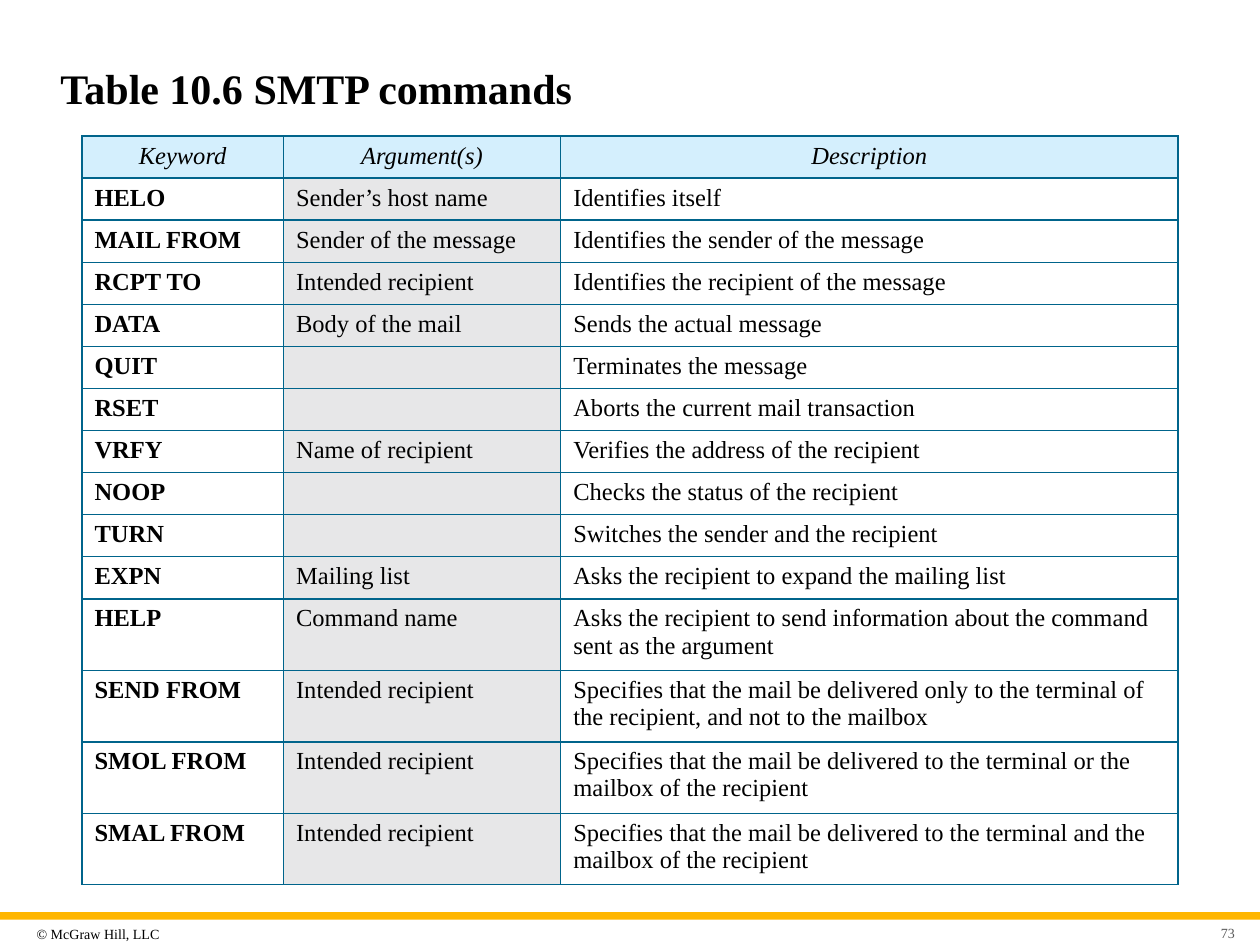
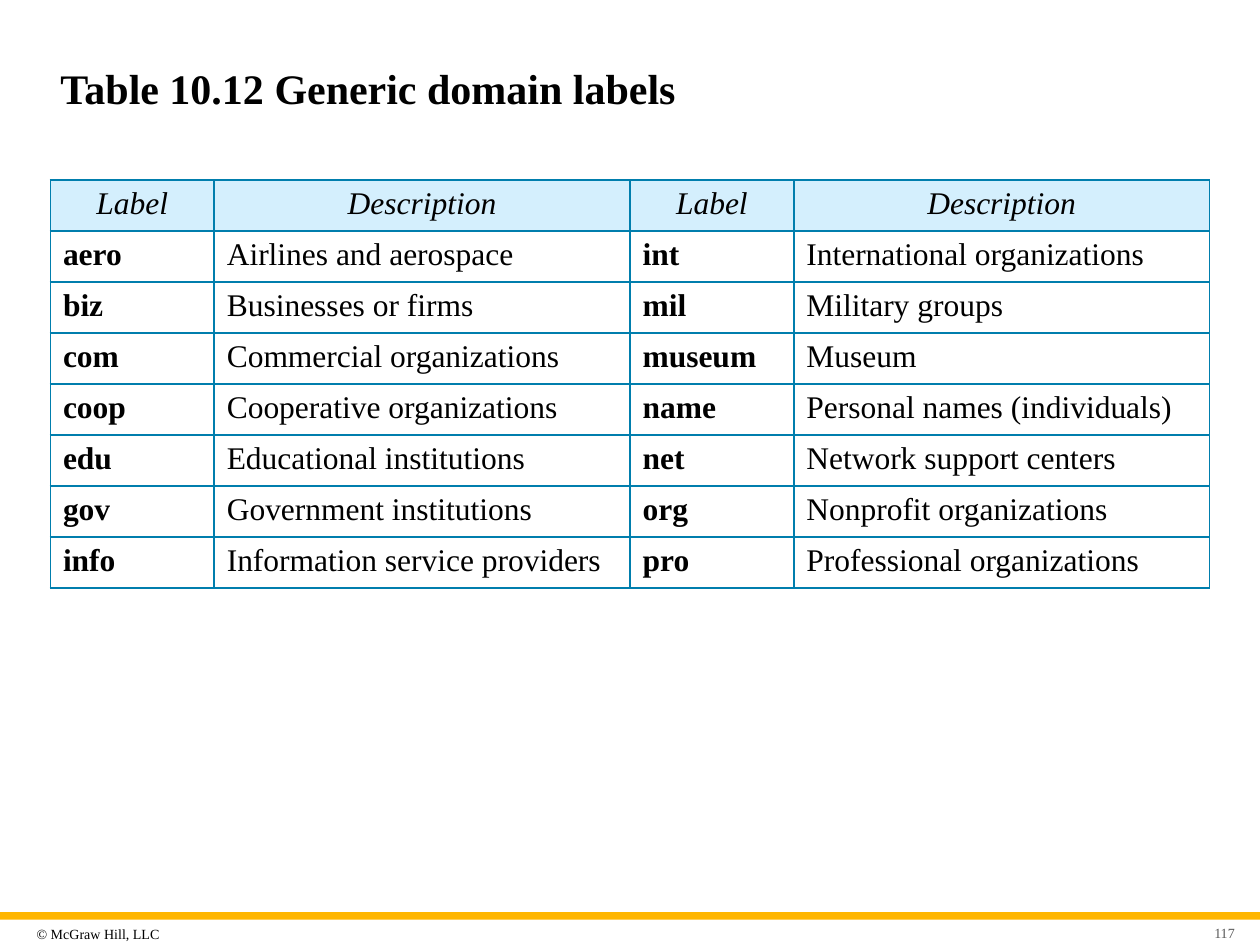
"""Build two slides of networking tables with a shared title and footer."""
from dataclasses import dataclass

from lxml import etree
from pptx import Presentation
from pptx.dml.color import RGBColor
from pptx.enum.shapes import MSO_SHAPE
from pptx.enum.text import MSO_ANCHOR, PP_ALIGN
from pptx.oxml.ns import qn
from pptx.util import Inches, Pt

RECT = MSO_SHAPE.RECTANGLE
MIDDLE = MSO_ANCHOR.MIDDLE
LEFT, CENTER, RIGHT = PP_ALIGN.LEFT, PP_ALIGN.CENTER, PP_ALIGN.RIGHT


@dataclass(frozen=True)
class Theme:
    """Colours, font and type sizes of the deck."""
    font: str = "Times New Roman"
    ink: str = "000000"
    muted: str = "595959"
    gold: str = "FFB600"
    head: str = "D4EFFD"
    shade: str = "E7E7E8"
    navy: str = "00648B"
    blue: str = "007EAD"
    title: int = 24
    small: int = 8
    dense: int = 14
    large: int = 18
    rule: int = 1


@dataclass(frozen=True)
class Grid:
    """Look and measures of one table, in inches and points."""
    box: tuple
    cols: tuple
    size: int
    line: str
    bold: tuple
    shade: tuple = ()
    tall: int = 0
    deep: float = 0.55


THEME = Theme()

SMTP = (
    ("Keyword", "Argument(s)", "Description"),
    ("HELO", "Sender’s host name", "Identifies itself"),
    ("MAIL FROM", "Sender of the message", "Identifies the sender of the message"),
    ("RCPT TO", "Intended recipient", "Identifies the recipient of the message"),
    ("DATA", "Body of the mail", "Sends the actual message"),
    ("QUIT", "", "Terminates the message"),
    ("RSET", "", "Aborts the current mail transaction"),
    ("VRFY", "Name of recipient", "Verifies the address of the recipient"),
    ("NOOP", "", "Checks the status of the recipient"),
    ("TURN", "", "Switches the sender and the recipient"),
    ("EXPN", "Mailing list", "Asks the recipient to expand the mailing list"),
    ("HELP", "Command name",
     "Asks the recipient to send information about the command sent as the argument"),
    ("SEND FROM", "Intended recipient",
     "Specifies that the mail be delivered only to the terminal of the recipient, "
     "and not to the mailbox"),
    ("SMOL FROM", "Intended recipient",
     "Specifies that the mail be delivered to the terminal or the mailbox of the recipient"),
    ("SMAL FROM", "Intended recipient",
     "Specifies that the mail be delivered to the terminal and the mailbox of the recipient"),
)

LABELS = (
    ("Label", "Description") * 2,
    ("aero", "Airlines and aerospace", "int", "International organizations"),
    ("biz", "Businesses or firms", "mil", "Military groups"),
    ("com", "Commercial organizations", "museum", "Museum"),
    ("coop", "Cooperative organizations", "name", "Personal names (individuals)"),
    ("edu", "Educational institutions", "net", "Network support centers"),
    ("gov", "Government institutions", "org", "Nonprofit organizations"),
    ("info", "Information service providers", "pro", "Professional organizations"),
)

SMTP_GRID = Grid((0.65, 1.08, 8.7, 5.8), (1.6, 2.2, 4.9), THEME.dense,
                 THEME.navy, bold=(0,), shade=(1,), tall=4)
LABEL_GRID = Grid((0.4, 1.43, 9.2, 3.24), (1.3, 3.3) * 2, THEME.large,
                  THEME.blue, bold=(0, 2))


def tint(fill, color):
    """Fill solidly with a hex colour."""
    fill.solid()
    fill.fore_color.rgb = RGBColor.from_string(color)


def style(par, size, color=THEME.ink, bold=False, italic=False, align=LEFT):
    """Set the font and alignment of a paragraph."""
    par.alignment = align
    font = par.font
    font.name, font.size = THEME.font, Pt(size)
    font.bold, font.italic = bold, italic
    font.color.rgb = RGBColor.from_string(color)


def label(slide, box, text, size, pads=(0.1, 0.05, 0.1, 0.05), wrap=True, **look):
    """Add a text box centred on its height."""
    frame = slide.shapes.add_textbox(*map(Inches, box)).text_frame
    frame.word_wrap = wrap
    frame.vertical_anchor = MIDDLE
    (frame.margin_left, frame.margin_top,
     frame.margin_right, frame.margin_bottom) = map(Inches, pads)
    par = frame.paragraphs[0]
    par.text = text
    style(par, size, **look)


def footer(slide, top, number):
    """Draw the gold band, the copyright line and the page number."""
    band = slide.shapes.add_shape(RECT, 0, Inches(top), Inches(10), Inches(0.06))
    band.shadow.inherit = False
    tint(band.fill, THEME.gold)
    band.line.fill.background()
    label(slide, (0.24, top + 0.05, 1.35, 0.24), "© McGraw Hill, LLC",
          THEME.small, pads=(0.05,) * 4, wrap=False)
    label(slide, (9.46, top + 0.07, 0.39, 0.18), str(number), THEME.small,
          pads=(0.1, 0.05, 0.05, 0.05), color=THEME.muted, align=RIGHT)


def border(cell, color):
    """Rule all four sides of a cell."""
    props = cell._tc.get_or_add_tcPr()
    for side in ("a:lnL", "a:lnR", "a:lnT", "a:lnB"):
        line = etree.SubElement(props, qn(side), w=str(Pt(THEME.rule)))
        fill = etree.SubElement(line, qn("a:solidFill"))
        etree.SubElement(fill, qn("a:srgbClr"), val=color)


def write(cell, text, grid, head, col):
    """Fill, rule and set the text of one cell."""
    border(cell, grid.line)
    if head or col in grid.shade:
        tint(cell.fill, THEME.head if head else THEME.shade)
    else:
        cell.fill.background()
    par = cell.text_frame.paragraphs[0]
    par.text = text
    style(par, grid.size, bold=not head and col in grid.bold,
          italic=head, align=CENTER if head else LEFT)
    if not text:
        etree.SubElement(par._p, qn("a:endParaRPr"), sz=str(grid.size * 100))


def draw(slide, grid, rows):
    """Add a table whose last rows may be taller than the rest."""
    box = map(Inches, grid.box)
    table = slide.shapes.add_table(len(rows), len(grid.cols), *box).table
    table.horz_banding = table.first_row = False
    for col, width in zip(table.columns, grid.cols):
        col.width = Inches(width)
    short = len(rows) - grid.tall
    height = (grid.box[3] - grid.tall * grid.deep) / short
    for i, row in enumerate(rows):
        table.rows[i].height = Inches(height if i < short else grid.deep)
        for j, text in enumerate(row):
            write(table.cell(i, j), text, grid, i == 0, j)


def page(deck, title, grid, rows, number):
    """Add one slide with a title, a table and the footer."""
    slide = deck.slides.add_slide(deck.slide_layouts[6])
    footer(slide, 7.24, number)
    label(slide, (0.38, 0.33, 9.25, 0.74), title, THEME.title, bold=True)
    draw(slide, grid, rows)


def main():
    """Build and save the deck."""
    deck = Presentation()
    deck.slide_width, deck.slide_height = Inches(10), Inches(7.5)
    page(deck, "Table 10.6 SMTP commands", SMTP_GRID, SMTP, 73)
    page(deck, "Table 10.12 Generic domain labels", LABEL_GRID, LABELS, 117)
    deck.save("out.pptx")


if __name__ == "__main__":
    main()
